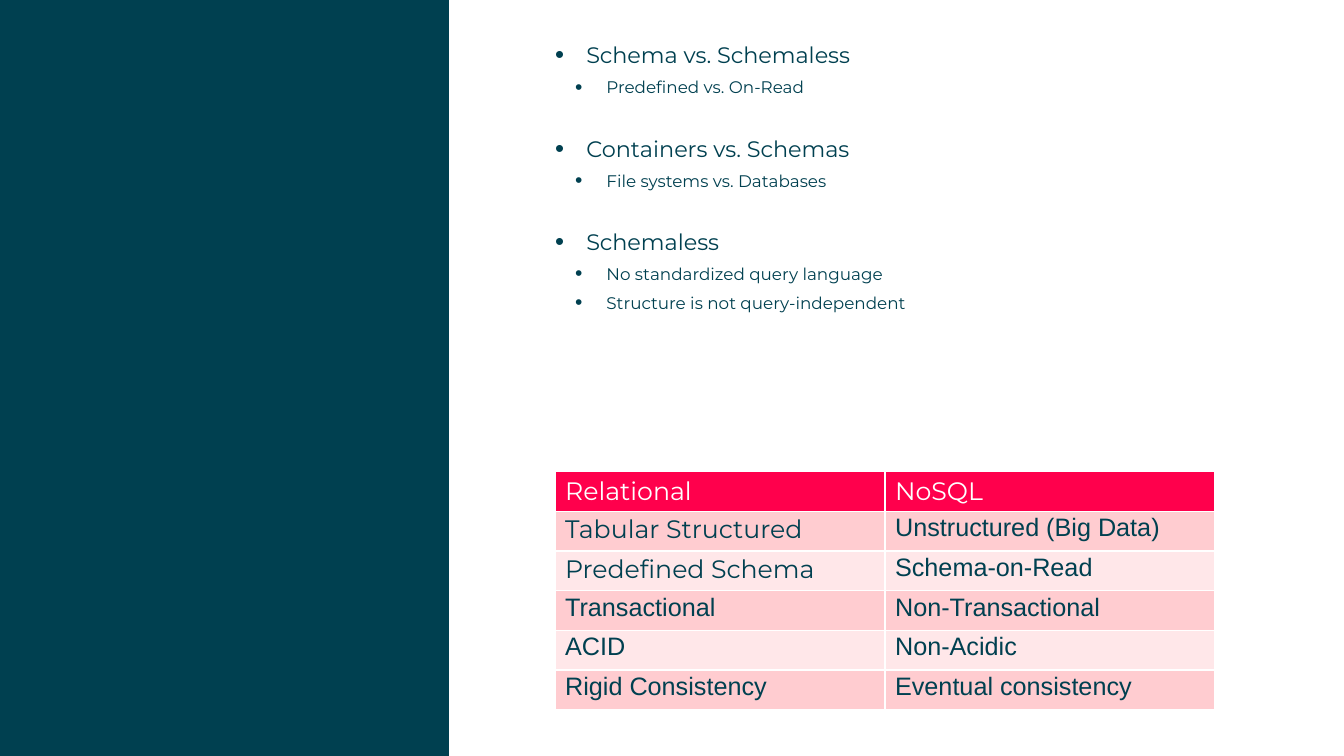
from lxml.etree import SubElement
from pptx import Presentation
from pptx.dml.color import RGBColor
from pptx.enum.shapes import MSO_SHAPE
from pptx.oxml.ns import qn
from pptx.util import Inches, Pt

WIDE, HIGH = 13.33, 7.5
INK = {"teal": "004050", "red": "FF004C", "rose": "FFCCD0",
       "blush": "FFE7E9", "white": "FFFFFF"}
LEFT, SPAN = 41.3, 49.1

POINTS = [
    ("Schema vs. Schemaless", ["Predefined vs. On-Read"]),
    ("Containers vs. Schemas", ["File systems vs. Databases"]),
    ("Schemaless", ["No standardized query language",
                    "Structure is not query-independent"]),
]
ROWS = [
    ("Relational", "NoSQL"),
    ("Tabular Structured", "Unstructured (Big Data)"),
    ("Predefined Schema", "Schema-on-Read"),
    ("Transactional", "Non-Transactional"),
    ("ACID", "Non-Acidic"),
    ("Rigid Consistency", "Eventual consistency"),
]
ROUND = {"Relational", "NoSQL", "Tabular Structured", "Predefined Schema"}


def color(name):
    return RGBColor.from_string(INK[name])


def box(x, y, w, h):
    """Turn percentages of the slide's size into lengths."""
    return [Inches(part * side / 100)
            for part, side in zip((x, y, w, h), (WIDE, HIGH) * 2)]


class Deck:
    """Holds the fonts and the current slide."""
    head, plain = "Montserrat", "Arial"

    def __init__(self, slide):
        self.slide = slide

    def text(self, para, words, size, ink, font):
        run = para.add_run()
        run.text = words
        run.font.size = Pt(size)
        run.font.name = font
        run.font.bold = False
        run.font.color.rgb = color(ink)

    def panel(self, area, ink):
        rect = self.slide.shapes.add_shape(MSO_SHAPE.RECTANGLE, *box(*area))
        rect.shadow.inherit = False
        rect.fill.solid()
        rect.fill.fore_color.rgb = color(ink)
        rect.line.fill.background()

    def bullet(self, para, indent, scale):
        props = para._p.get_or_add_pPr()
        props.set("marL", str(Inches(indent)))
        props.set("indent", str(Inches(-0.31)))
        SubElement(props, qn("a:buSzPct")).set("val", str(scale * 1000))
        SubElement(props, qn("a:buFont")).set("typeface", self.plain)
        SubElement(props, qn("a:buChar")).set("char", "•")

    def points(self, area, groups):
        frame = self.slide.shapes.add_textbox(*box(*area)).text_frame
        frame.word_wrap = True
        frame.margin_left = frame.margin_right = 0
        frame.margin_top = frame.margin_bottom = 0
        for spot, (topic, notes) in enumerate(groups):
            para = frame.add_paragraph() if spot else frame.paragraphs[0]
            para.space_before = Pt(20.5 if spot else 0)
            para.space_after = Pt(6.5)
            self.bullet(para, 0.31, 115)
            self.text(para, topic, 16, "teal", self.head)
            for note in notes:
                para = frame.add_paragraph()
                para.level = 1
                para.line_spacing = Pt(14)
                para.space_before = Pt(0)
                para.space_after = Pt(6.5)
                self.bullet(para, 0.51, 125)
                self.text(para, note, 12, "teal", self.head)

    def border(self, cell):
        props = cell._tc.get_or_add_tcPr()
        for spot, side in enumerate(("a:lnL", "a:lnR", "a:lnT", "a:lnB")):
            line = SubElement(props, qn(side), w=str(Pt(1)))
            fill = SubElement(line, qn("a:solidFill"))
            SubElement(fill, qn("a:srgbClr"), val=INK["white"])
            props.insert(spot, line)

    def table(self, area, rows):
        grid = self.slide.shapes.add_table(
            len(rows), len(rows[0]), *box(*area)).table
        grid.horz_banding = False
        for down, row in enumerate(rows):
            fill = ("blush", "rose")[down % 2] if down else "red"
            for across, words in enumerate(row):
                cell = grid.cell(down, across)
                cell.fill.solid()
                cell.fill.fore_color.rgb = color(fill)
                self.border(cell)
                para = cell.text_frame.paragraphs[0]
                para.line_spacing = 0.9 if down else 1.0
                font = self.head if words in ROUND else self.plain
                self.text(para, words, 18, "teal" if down else "white", font)


def main():
    show = Presentation()
    show.slide_width, show.slide_height = Inches(WIDE), Inches(HIGH)
    deck = Deck(show.slides.add_slide(show.slide_layouts[6]))
    deck.panel((0, 0, 33.4, 100), "teal")
    deck.points((LEFT, 5.5, SPAN, 88.9), POINTS)
    deck.table((LEFT, 62.3, SPAN, 31.5), ROWS)
    show.save("out.pptx")


if __name__ == "__main__":
    main()
